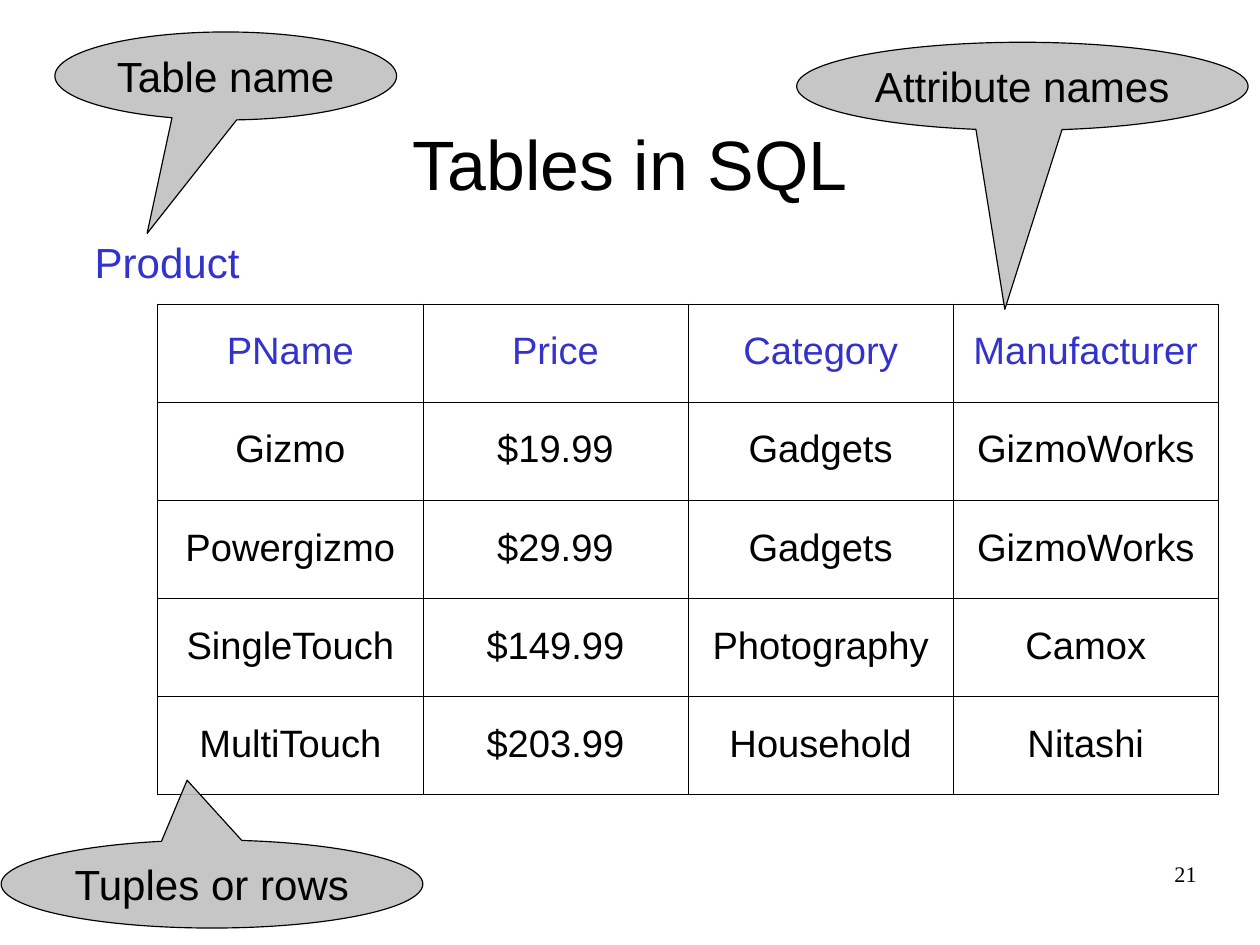
from dataclasses import dataclass

from lxml.etree import SubElement
from pptx import Presentation
from pptx.dml.color import RGBColor
from pptx.enum.shapes import MSO_SHAPE
from pptx.enum.text import MSO_ANCHOR, MSO_AUTO_SIZE, PP_ALIGN
from pptx.oxml.ns import qn
from pptx.util import Inches, Pt


@dataclass(frozen=True)
class Theme:
    """Colours, fonts and type sizes of the slide."""
    ink: str = "000000"
    accent: str = "3333CC"
    callout: str = "C0C0C0"
    callout_alpha: int = 90
    font: str = "Arial"
    number_font: str = "Times New Roman"
    title: float = 44
    label: float = 26.5
    cell: float = 24
    number: float = 14
    outer_rule: float = 0.51
    inner_rule: float = 0.23
    callout_rule: float = 0.74


THEME = Theme()
CM_PER_INCH = 2.54
PRODUCTS = [
    ["PName", "Price", "Category", "Manufacturer"],
    ["Gizmo", "$19.99", "Gadgets", "GizmoWorks"],
    ["Powergizmo", "$29.99", "Gadgets", "GizmoWorks"],
    ["SingleTouch", "$149.99", "Photography", "Camox"],
    ["MultiTouch", "$203.99", "Household", "Nitashi"],
]
# text, box (left, top, width, height), pointer tip (x, y)
CALLOUTS = [
    ("Attribute names", (6.97, 0.37, 3.95, 0.77), (-0.039, 2.535)),
    ("Table name", (0.48, 0.28, 2.99, 0.77), (-0.23, 1.789)),
    ("Tuples or rows", (0.01, 7.35, 3.69, 0.77), (-0.059, -1.18)),
]


def write(tf, text, size, align=PP_ALIGN.CENTER, color=THEME.ink, font=THEME.font):
    """Put one formatted paragraph in a text frame and return it."""
    tf.text = text
    p = tf.paragraphs[0]
    p.alignment = align
    r = p.runs[0]
    r.font.size = Pt(size)
    r.font.name = font
    r.font.bold = False
    r.font.color.rgb = RGBColor.from_string(color)
    return p


def add_title(s, text, box):
    """Fill and place the title placeholder."""
    sp = s.shapes.title
    sp.left, sp.top, sp.width, sp.height = map(Inches, box)
    sp.text_frame.vertical_anchor = MSO_ANCHOR.MIDDLE
    write(sp.text_frame, text, THEME.title)


def add_label(s, text, box):
    """Add the accent-coloured name of the table."""
    tf = s.shapes.add_textbox(*map(Inches, box)).text_frame
    tf.word_wrap = False
    tf.auto_size = MSO_AUTO_SIZE.SHAPE_TO_FIT_TEXT
    write(tf, text, THEME.label, PP_ALIGN.LEFT, THEME.accent)


def add_page_number(s, text, box):
    """Add the page number, flush right without margins."""
    tf = s.shapes.add_textbox(*map(Inches, box)).text_frame
    tf.word_wrap = True
    tf.margin_left = tf.margin_right = tf.margin_top = tf.margin_bottom = 0
    write(tf, text, THEME.number, PP_ALIGN.RIGHT, font=THEME.number_font)


def add_callout(s, text, box, tip):
    """Add a translucent elliptical callout pointing at tip."""
    sp = s.shapes.add_shape(MSO_SHAPE.OVAL_CALLOUT, *map(Inches, box))
    sp.shadow.inherit = False
    sp.adjustments[0], sp.adjustments[1] = tip
    sp.fill.solid()
    sp.fill.fore_color.rgb = RGBColor.from_string(THEME.callout)
    color = next(sp.element.spPr.iter(qn("a:srgbClr")))
    SubElement(color, qn("a:alpha"), val=str(THEME.callout_alpha * 1000))
    sp.line.color.rgb = RGBColor.from_string(THEME.ink)
    sp.line.width = Pt(THEME.callout_rule)
    tf = sp.text_frame
    tf.word_wrap = False
    tf.auto_size = MSO_AUTO_SIZE.SHAPE_TO_FIT_TEXT
    tf.vertical_anchor = MSO_ANCHOR.TOP
    write(tf, text, THEME.label)


def set_borders(cell, heavy):
    """Draw the four cell borders; sides in heavy get the outer rule."""
    tcPr = cell._tc.get_or_add_tcPr()
    for side in "LRTB":
        width = THEME.outer_rule if side in heavy else THEME.inner_rule
        ln = SubElement(tcPr, qn(f"a:ln{side}"), w=str(Pt(width)))
        fill = SubElement(ln, qn("a:solidFill"))
        SubElement(fill, qn("a:srgbClr"), val=THEME.ink)


def add_grid(s, rows, box):
    """Add the ruled table with an accent-coloured header row."""
    n_rows, n_cols = len(rows), len(rows[0])
    table = s.shapes.add_table(n_rows, n_cols, *map(Inches, box)).table
    table.horz_banding = False
    for i, row in enumerate(rows):
        for j, text in enumerate(row):
            cell = table.cell(i, j)
            edges = {"L": j == 0, "R": j == n_cols - 1,
                     "T": i <= 1, "B": i in (0, n_rows - 1)}
            set_borders(cell, [side for side, heavy in edges.items() if heavy])
            cell.fill.background()
            cell.vertical_anchor = MSO_ANCHOR.MIDDLE
            color = THEME.ink if i else THEME.accent
            p = write(cell.text_frame, text, THEME.cell, color=color)
            p.line_spacing = 0.93
            p.space_before = Pt(6)


def main():
    """Build and save the slide."""
    prs = Presentation()
    prs.slide_width = Inches(28 / CM_PER_INCH)
    prs.slide_height = Inches(21 / CM_PER_INCH)
    s = prs.slides.add_slide(prs.slide_layouts.get_by_name("Title Only"))
    add_title(s, "Tables in SQL", (0.83, 0.73, 9.37, 1.38))
    add_grid(s, PRODUCTS, (1.38, 2.66, 9.28, 4.29))
    add_label(s, "Product", (0.73, 2.02, 1.47, 0.54))
    for text, box, tip in CALLOUTS:
        add_callout(s, text, box, tip)
    add_page_number(s, "21", (7.9, 7.53, 2.57, 0.57))
    prs.save("out.pptx")


main()
